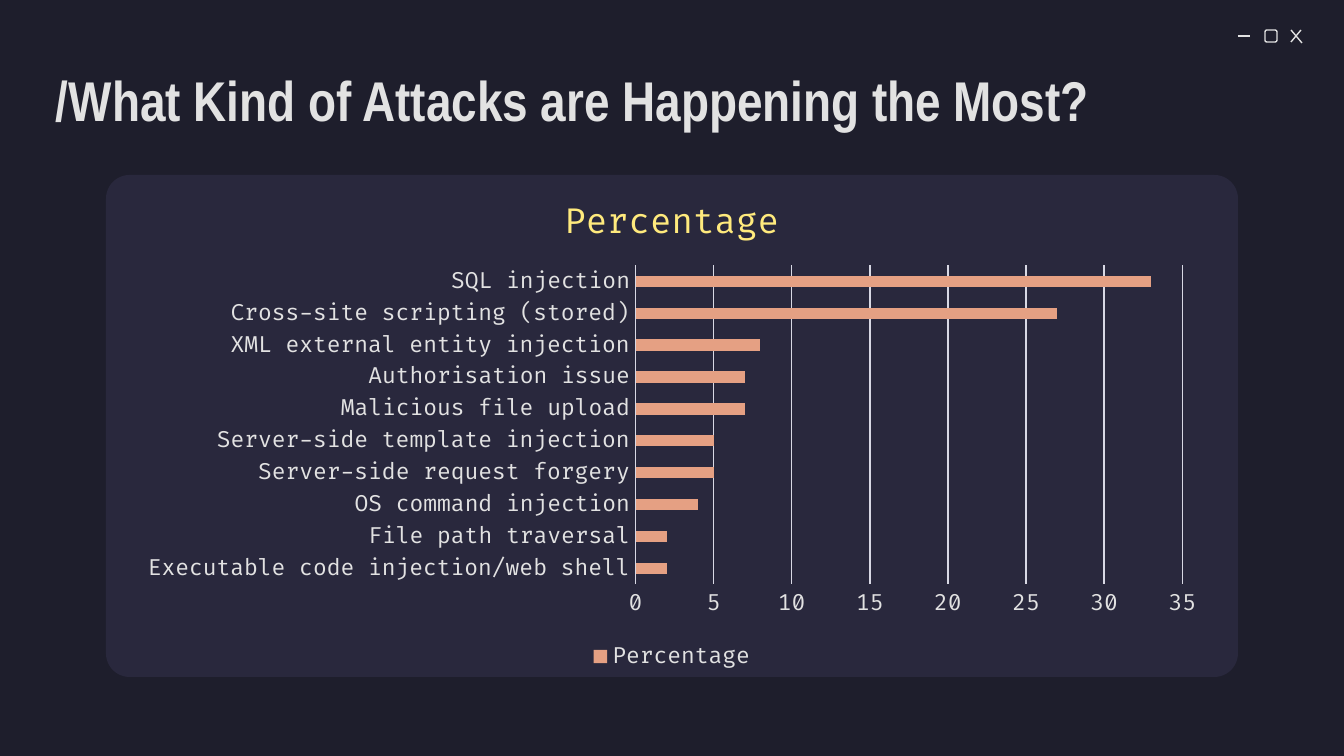
from lxml.etree import SubElement as Sub
from pptx import Presentation
from pptx.chart.data import CategoryChartData as Data
from pptx.dml.color import RGBColor as RGB
from pptx.enum.chart import XL_CHART_TYPE as Kind, XL_LEGEND_POSITION as Side
from pptx.enum.chart import XL_TICK_MARK as Tick
from pptx.enum.shapes import MSO_CONNECTOR as Wire, MSO_SHAPE as Form
from pptx.enum.text import MSO_ANCHOR as Anchor
from pptx.oxml.ns import qn
from pptx.util import Pt

SCALE = 9144000 / 1344
COLORS = {"back": "1E1E2C", "panel": "29283D", "text": "E2E2E2",
          "grid": "D8D8E4", "title": "FFEA7D", "bar": "E5A083"}
RATES = {
    "Executable code injection/web shell": 2,
    "File path traversal": 2,
    "OS command injection": 4,
    "Server-side request forgery": 5,
    "Server-side template injection": 5,
    "Malicious file upload": 7,
    "Authorisation issue": 7,
    "XML external entity injection": 8,
    "Cross-site scripting (stored)": 27,
    "SQL injection": 33,
}
STROKES = [(1238, 36, 1250, 36), (1291, 30, 1302, 43), (1301, 30, 1291, 42)]


def px(*nums):
    """Turn pixel lengths into EMU."""
    return [round(n * SCALE) for n in nums]


def put(obj, **vals):
    """Set attributes from format values."""
    for key, val in vals.items():
        setattr(obj, key, val)


def paint(fill, name):
    """Give a fill one solid colour."""
    fill.solid()
    fill.fore_color.rgb = RGB.from_string(COLORS[name])


def style(font, size, name="text", face="Fira Code", bold=False):
    """Set the look of a font."""
    put(font, size=Pt(size), name=face, bold=bold)
    paint(font.fill, name)


def stroke(line, name):
    """Set the look of a thin line."""
    paint(line.fill, name)
    line.width = Pt(0.75)


def add_box(slide, box, adj, fill=None, line=None):
    """Add a rounded box."""
    shape = slide.shapes.add_shape(Form.ROUNDED_RECTANGLE, *px(*box))
    shape.shadow.inherit = False
    shape.adjustments[0] = adj
    if fill:
        paint(shape.fill, fill)
    else:
        shape.fill.background()
    if line:
        stroke(shape.line, line)
    else:
        shape.line.fill.background()


def add_line(slide, ends):
    """Add a straight line without a shadow."""
    wire = slide.shapes.add_connector(Wire.STRAIGHT, *px(*ends))
    stroke(wire.line, "text")
    Sub(wire._element.spPr, qn("a:effectLst"))


def add_title(slide, box, text):
    """Add the slide heading."""
    frame = slide.shapes.add_textbox(*px(*box)).text_frame
    pad = px(13)[0]
    put(frame, word_wrap=True, vertical_anchor=Anchor.MIDDLE, margin_left=pad,
        margin_right=pad, margin_top=pad, margin_bottom=pad)
    run = frame.paragraphs[0].add_run()
    run.text = text
    style(run.font, 30, face="Arial Narrow", bold=True)


def add_bars(slide, box, name, rates):
    """Add the bar chart of attack rates."""
    data = Data()
    data.categories = list(rates)
    data.add_series(name, list(rates.values()))
    chart = slide.shapes.add_chart(Kind.BAR_CLUSTERED, *px(*box), data).chart
    style(chart.font, 10, "back", "Arial")
    head = chart.chart_title.text_frame
    head.text = name
    style(head.paragraphs[0].runs[0].font, 18.6, "title")
    chart.has_legend = True
    put(chart.legend, position=Side.BOTTOM, include_in_layout=False)
    style(chart.legend.font, 12)
    for axis in (chart.category_axis, chart.value_axis):
        put(axis, major_tick_mark=Tick.NONE, minor_tick_mark=Tick.NONE)
        style(axis.tick_labels.font, 12)
    stroke(chart.category_axis.format.line, "grid")
    put(chart.value_axis, has_major_gridlines=True, minimum_scale=0,
        maximum_scale=35, major_unit=5)
    put(chart.value_axis.tick_labels, number_format="General",
        number_format_is_linked=False)
    chart.value_axis.format.line.fill.background()
    stroke(chart.value_axis.major_gridlines.format.line, "grid")
    plot = chart.plots[0]
    put(plot, gap_width=182, vary_by_categories=False)
    paint(plot.series[0].format.fill, "bar")


def main():
    """Build and save the slide."""
    deck = Presentation()
    wide, high = px(1344, 756)
    put(deck, slide_width=wide, slide_height=high)
    slide = deck.slides.add_slide(deck.slide_layouts[6])
    paint(slide.background.fill, "back")
    add_box(slide, (106, 175, 1132, 502), 0.047, fill="panel")
    add_box(slide, (1265, 30, 12, 12), 0.167, line="text")
    for ends in STROKES:
        add_line(slide, ends)
    add_title(slide, (43, 57, 1259, 85),
              "/What Kind of Attacks are Happening the Most?")
    add_bars(slide, (126, 174, 1092, 502), "Percentage", RATES)
    deck.save("out.pptx")


if __name__ == "__main__":
    main()
